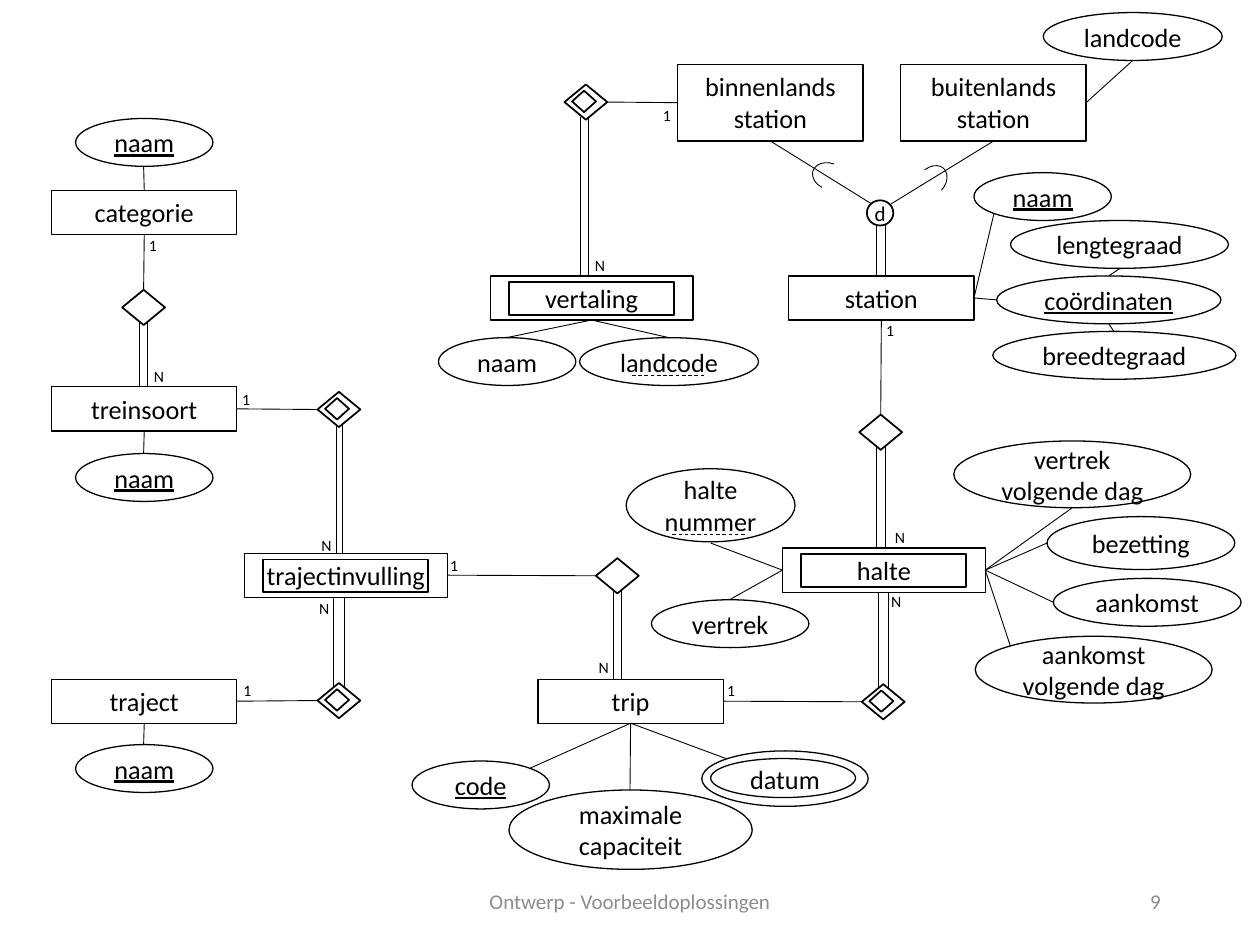
import pptx
import pptx.dml.color
import pptx.enum.dml
import pptx.enum.shapes
import pptx.enum.text
import pptx.oxml.ns
import pptx.util
from lxml import etree
from pptx.util import Inches

BLACK = pptx.dml.color.RGBColor(0x00, 0x00, 0x00)
WHITE = pptx.dml.color.RGBColor(0xFF, 0xFF, 0xFF)
GREY = pptx.dml.color.RGBColor(0x8C, 0x8C, 0x8C)
SHAPE = pptx.enum.shapes.MSO_SHAPE
ALIGN = pptx.enum.text.PP_ALIGN
ANCHOR = pptx.enum.text.MSO_ANCHOR
GROW = pptx.enum.text.MSO_AUTO_SIZE.SHAPE_TO_FIT_TEXT
TOP, LEFT, BOTTOM, RIGHT = range(4)

ENTITIES = {
    "station": (6.26, 2.19, 1.47, 0.35),
    "buitenlands station": (7.15, 0.51, 1.47, 0.61),
    "binnenlands station": (5.38, 0.51, 1.47, 0.61),
    "categorie": (0.41, 1.51, 1.47, 0.35),
    "treinsoort": (0.41, 3.07, 1.47, 0.35),
    "traject": (0.41, 5.39, 1.47, 0.35),
    "trip": (4.27, 5.39, 1.47, 0.35),
}
WEAK_ENTITIES = {
    "vertaling": (3.89, 2.19, 1.61, 0.35),
    "trajectinvulling": (1.94, 4.39, 1.61, 0.35),
    "halte": (6.21, 4.35, 1.61, 0.35),
}
KEY_ATTRIBUTES = [
    ("naam", 7.73, 1.37, 1.09, 0.38),
    ("coördinaten", 7.91, 2.19, 1.78, 0.38),
    ("naam", 0.6, 0.94, 1.09, 0.38),
    ("naam", 0.6, 3.6, 1.09, 0.38),
    ("naam", 0.6, 5.91, 1.09, 0.38),
    ("code", 3.27, 6.04, 1.09, 0.38),
]
ATTRIBUTES = [
    ("lengtegraad", 8.02, 1.75, 1.73, 0.38),
    ("breedtegraad", 7.88, 2.63, 1.93, 0.38),
    ("landcode", 8.28, 0.1, 1.42, 0.38),
    ("naam", 3.48, 2.68, 1.09, 0.38),
    ("landcode", 4.6, 2.68, 1.42, 0.38),
    ("maximale capaciteit", 4.04, 6.27, 1.93, 0.63),
    ("datum", 5.57, 5.96, 1.32, 0.44),
    ("halte\nnummer", 4.97, 3.72, 1.34, 0.58),
    ("vertrek", 5.17, 4.76, 1.25, 0.38),
    ("aankomst", 8.36, 4.59, 1.49, 0.38),
    ("aankomst volgende dag", 7.74, 5.05, 1.88, 0.53),
    ("vertrek volgende dag", 7.57, 3.5, 1.88, 0.53),
    ("bezetting", 8.31, 4.1, 1.49, 0.42),
]
RELATIONSHIPS = {
    "categorie-treinsoort": (0.97, 2.3),
    "trajectinvulling-trip": (4.73, 4.43),
    "station-halte": (6.82, 3.29),
}
IDENTIFYING_RELATIONSHIPS = {
    "station-vertaling": (4.48, 0.67),
    "treinsoort-trajectinvulling": (2.52, 3.11),
    "traject-trajectinvulling": (2.52, 5.42),
    "trip-halte": (6.84, 5.43),
}
ATTRIBUTE_LINKS = [
    ("station", RIGHT, [(7.89, 1.69), (7.91, 2.38)]),
    ("buitenlands station", RIGHT, [(8.99, 0.48)]),
    ("buitenlands station", BOTTOM, [(7.07, 1.62)]),
    ("binnenlands station", BOTTOM, [(6.92, 1.62)]),
    ("vertaling", BOTTOM, [(4.02, 2.68), (5.31, 2.68)]),
    ("categorie", TOP, [(1.14, 1.32)]),
    ("treinsoort", BOTTOM, [(1.14, 3.6)]),
    ("traject", BOTTOM, [(1.14, 5.91)]),
    ("trip", BOTTOM, [(4.2, 6.1), (5.76, 6.02), (5, 6.27)]),
    ("halte", LEFT, [(5.64, 4.31), (5.79, 4.76)]),
    ("halte", RIGHT, [(8.51, 4.03), (8.31, 4.31), (8.36, 4.78), (8.02, 5.13)]),
]
SINGLE_LINKS = [
    ("binnenlands station", LEFT, "station-vertaling", RIGHT),
    ("categorie", BOTTOM, "categorie-treinsoort", TOP),
    ("treinsoort", RIGHT, "treinsoort-trajectinvulling", LEFT),
    ("traject", RIGHT, "traject-trajectinvulling", LEFT),
    ("trajectinvulling", RIGHT, "trajectinvulling-trip", LEFT),
    ("trip", RIGHT, "trip-halte", LEFT),
    ("station", BOTTOM, "station-halte", TOP),
]
DOUBLE_LINKS = [
    (6.96, 7.03, 1.78, 2.19),
    (4.61, 4.67, 0.93, 2.19),
    (1.11, 1.17, 2.55, 3.06),
    (2.67, 2.72, 3.37, 4.39),
    (2.65, 2.73, 4.74, 5.45),
    (4.87, 4.93, 4.68, 5.39),
    (6.97, 7.05, 4.7, 5.46),
    (6.96, 7.03, 3.54, 4.35),
]
PART_LINKS = [((8.89, 2.13), (8.8, 2.19)), ((8.8, 2.57), (8.84, 2.63))]
PARTIAL_KEYS = [((5.59, 2.98), (5, 2.98)), ((5.91, 4.24), (5.32, 4.24))]
CARDINALITIES = {
    "1": [(5.17, 0.79), (1.09, 1.82), (1.83, 3.04), (1.84, 5.35),
          (3.48, 4.36), (5.68, 5.35), (6.94, 2.5)],
    "N": [(4.63, 1.98), (1.13, 2.86), (2.46, 4.2), (2.44, 4.7),
          (4.66, 5.17), (6.98, 4.65), (7.01, 4.14)],
}
SUBSET_ARCS = [(6.48, 1.26, 289.3), (7.29, 1.3, 42.3)]


def apply(target, formats):
    for attribute, setting in formats.items():
        setattr(target, attribute, setting)


def write(shape, text, size=15, color=BLACK, align=ALIGN.CENTER, underline=None, **frame_formats):
    frame = shape.text_frame
    frame.text = text
    apply(frame, {"word_wrap": True, "vertical_anchor": ANCHOR.MIDDLE, **frame_formats})
    for paragraph in frame.paragraphs:
        paragraph.alignment = align
        for run in paragraph.runs:
            apply(run.font, {"name": "Calibri", "size": pptx.util.Pt(size), "underline": underline})
            run.font.color.rgb = color


def outline(slide, preset, box, weight=0.75, fill=None):
    shape = slide.shapes.add_shape(preset, *map(Inches, box))
    shape.shadow.inherit = False
    if fill is None:
        shape.fill.background()
    else:
        shape.fill.solid()
        shape.fill.fore_color.rgb = fill
    shape.line.color.rgb = BLACK
    shape.line.width = pptx.util.Pt(weight)
    return shape


def add_entity(slide, name, box, weak=False):
    entity = outline(slide, SHAPE.RECTANGLE, box)
    write(entity, name, vertical_anchor=ANCHOR.TOP, auto_size=GROW)
    if weak:
        left, top, width, height = box
        outline(slide, SHAPE.RECTANGLE, (left + 0.15, top + 0.05, width - 0.3, height - 0.09), 1)
    return entity


def add_attribute(slide, name, box, key=False):
    write(outline(slide, SHAPE.OVAL, box, fill=WHITE), name, underline=key or None)


def add_relationship(slide, left, top, identifying=False):
    relationship = outline(slide, SHAPE.DIAMOND, (left, top, 0.34, 0.28), 1)
    if identifying:
        outline(slide, SHAPE.DIAMOND, (left + 0.06, top + 0.05, 0.19, 0.17), 1)
    return relationship


def add_link(slide, start, end, dash=None):
    link = slide.shapes.add_connector(
        pptx.enum.shapes.MSO_CONNECTOR.STRAIGHT, *map(Inches, (*start, *end)))
    link.line.color.rgb = BLACK
    link.line.width = pptx.util.Pt(0.5)
    link.line.dash_style = dash
    etree.SubElement(link._element.spPr, pptx.oxml.ns.qn("a:effectLst"))
    return link


def add_label(slide, text, box, **formats):
    write(slide.shapes.add_textbox(*map(Inches, box)), text, **formats)


def add_specialisation(slide):
    disjoint = outline(slide, SHAPE.OVAL, (6.88, 1.59, 0.21, 0.2), 1)
    margins = dict.fromkeys(("margin_left", "margin_right", "margin_top", "margin_bottom"), 0)
    write(disjoint, "d", size=12, **{**margins, "word_wrap": False})
    for left, top, rotation in SUBSET_ARCS:
        arc = outline(slide, SHAPE.ARC, (left, top, 0.21, 0.28), 0.5)
        arc.rotation = rotation
        arc.adjustments[0] = 117.56
        arc.adjustments[1] = 0


def add_links(slide, nodes):
    for name, side, points in ATTRIBUTE_LINKS:
        for point in points:
            add_link(slide, point, point).end_connect(nodes[name], side)
    for entity, entity_side, relationship, relationship_side in SINGLE_LINKS:
        link = add_link(slide, (0, 0), (0, 0))
        link.begin_connect(nodes[entity], entity_side)
        link.end_connect(nodes[relationship], relationship_side)
    for left, right, top, bottom in DOUBLE_LINKS:
        for x in (left, right):
            add_link(slide, (x, top), (x, bottom))
    for start, end in PART_LINKS:
        add_link(slide, start, end)
    for start, end in PARTIAL_KEYS:
        add_link(slide, start, end, pptx.enum.dml.MSO_LINE.DASH)


def main():
    deck = pptx.Presentation()
    deck.slide_width, deck.slide_height = Inches(10), Inches(7.5)
    slide = deck.slides.add_slide(deck.slide_layouts[6])
    nodes = {}
    for group, weak in ((ENTITIES, False), (WEAK_ENTITIES, True)):
        for name, box in group.items():
            nodes[name] = add_entity(slide, name, box, weak)
    for group, key in ((KEY_ATTRIBUTES, True), (ATTRIBUTES, False)):
        for name, *box in group:
            add_attribute(slide, name, box, key)
    outline(slide, SHAPE.OVAL, (5.64, 6.02, 1.15, 0.31))
    for group, identifying in ((RELATIONSHIPS, False), (IDENTIFYING_RELATIONSHIPS, True)):
        for name, corner in group.items():
            nodes[name] = add_relationship(slide, *corner, identifying)
    add_specialisation(slide)
    add_links(slide, nodes)
    for cardinality, corners in CARDINALITIES.items():
        for corner in corners:
            add_label(slide, cardinality, (*corner, 0.19, 0.25), size=9, align=ALIGN.LEFT,
                      word_wrap=False, vertical_anchor=ANCHOR.TOP, auto_size=GROW)
    add_label(slide, "Ontwerp - Voorbeeldoplossingen", (3.31, 6.95, 3.38, 0.4), size=12, color=GREY)
    add_label(slide, "9", (7.06, 6.95, 2.25, 0.4), size=12, color=GREY, align=ALIGN.RIGHT)
    deck.save("out.pptx")


if __name__ == "__main__":
    main()
